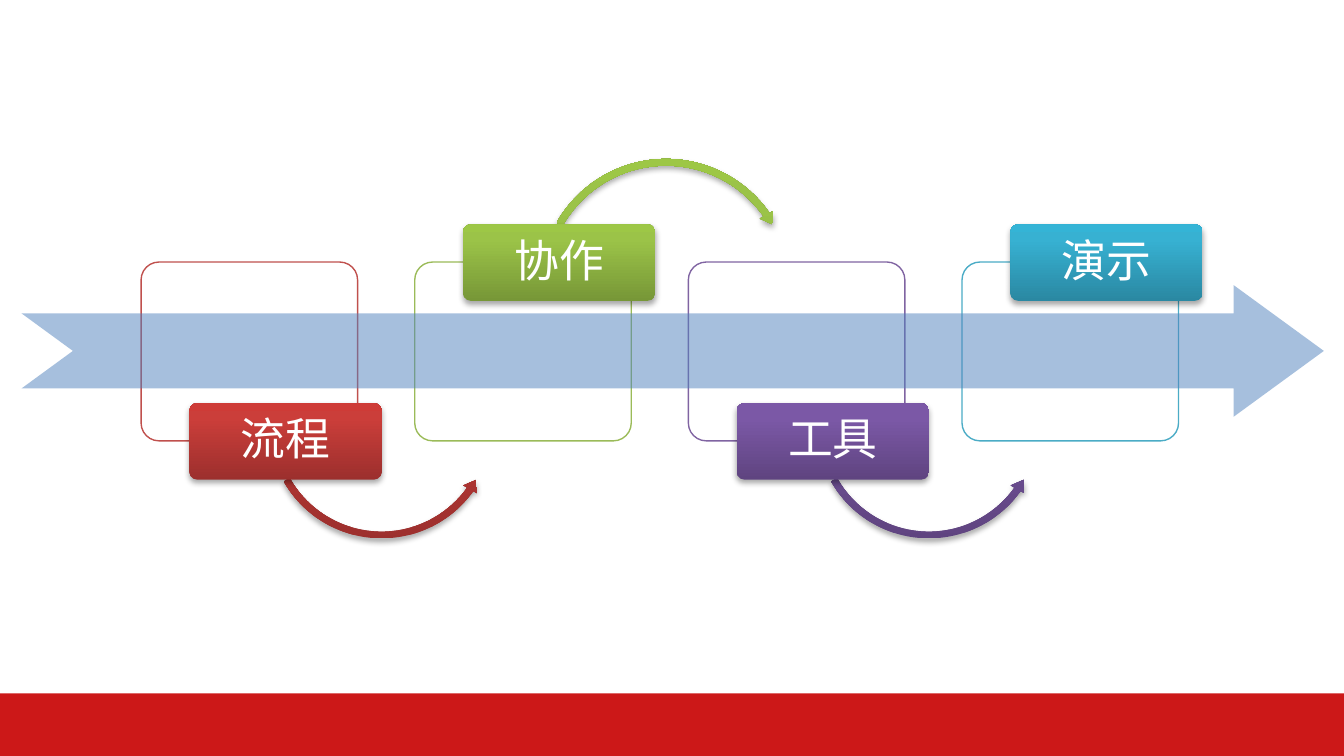
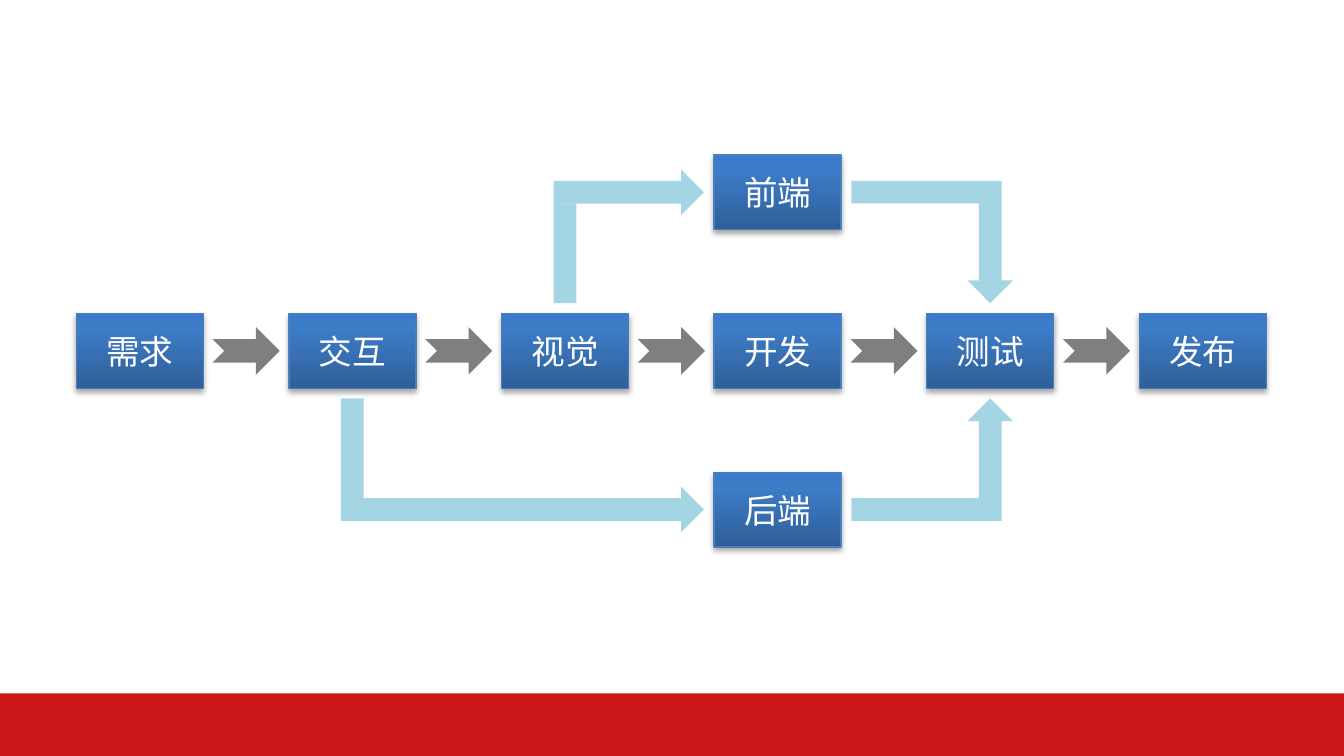
from copy import deepcopy

from lxml.etree import SubElement
from pptx import Presentation
from pptx.dml.color import RGBColor
from pptx.enum.shapes import MSO_SHAPE as Preset
from pptx.enum.text import MSO_ANCHOR as Anchor, PP_ALIGN as Align
from pptx.oxml.ns import qn
from pptx.util import Pt

SLIDE_WIDTH, SLIDE_HEIGHT = 720, 405
BAND_TOP = 371.5
FONT = "Noto Sans CJK SC"
COLOURS = {
    "white": "FFFFFF", "black": "000000", "band": "CC1818",
    "arrow": "4F81BD", "branch": "4BACC6", "box line": "4B7EBC",
    "red": "C0504D", "green": "9BBB59", "purple": "8064A2", "teal": "4BACC6",
}
GRADIENTS = {
    "red": ("9C2F2D", "CB3E3A", "CE3B37"),
    "green": ("779737", "9BC348", "9DC746"),
    "purple": ("5F4480", "7B58A6", "7C57A8"),
    "teal": ("2A88A2", "37B1D2", "34B4D6"),
    "blue": ("2F5F99", "3D7CC7", "3A7CCB"),
}
LOWER_ARC = (0.029, 3.57, 21.325, 90.245, 0.034)
UPPER_ARC = (0.026, 3.168, 195.077, 125.755, 0.03)


def rgb(name):
    return RGBColor.from_string(COLOURS[name])


def fill_gradient(shape, name):
    """Fill from bottom to top with the three stops of a named gradient."""
    shape.fill.gradient()
    shape.fill.gradient_angle = 90
    stop_list = shape.element.spPr.find(".//" + qn("a:gsLst"))
    stop_list.append(deepcopy(stop_list[-1]))
    for stop, colour, position in zip(shape.fill.gradient_stops, GRADIENTS[name], (0, 0.8, 1)):
        stop.color.rgb = RGBColor.from_string(colour)
        stop.position = position


def fill_solid(shape, name, opacity):
    shape.fill.solid()
    shape.fill.fore_color.rgb = rgb(name)
    if opacity < 100:
        colour = shape.element.spPr.find(qn("a:solidFill"))[0]
        SubElement(colour, qn("a:alpha"), val=str(opacity * 1000))


def add_shadow(shape):
    effects = shape.element.spPr.find(qn("a:effectLst"))
    shadow = SubElement(effects, qn("a:outerShdw"), blurRad="40000", dist="23000",
                        dir="5400000", rotWithShape="0")
    colour = SubElement(shadow, qn("a:srgbClr"), val=COLOURS["black"])
    SubElement(colour, qn("a:alpha"), val="35000")


def add_preset(slide, preset, box, fill=None, opacity=100, gradient=None, line=None,
               adjustments=()):
    """Add a preset shape; shapes with a gradient also cast a shadow."""
    shape = slide.shapes.add_shape(preset, *(Pt(length) for length in box))
    shape.shadow.inherit = False
    for index, value in enumerate(adjustments):
        shape.adjustments[index] = value
    if gradient:
        fill_gradient(shape, gradient)
        add_shadow(shape)
    else:
        fill_solid(shape, fill, opacity)
    if line:
        shape.line.color.rgb = rgb(line)
        shape.line.width = Pt(0.75)
    else:
        shape.line.fill.background()
    return shape


def write_text(shape, text, size, colour="white", line_spacing=1.0):
    frame = shape.text_frame
    frame.word_wrap = True
    frame.vertical_anchor = Anchor.MIDDLE
    frame.margin_left = frame.margin_right = frame.margin_top = frame.margin_bottom = Pt(3)
    paragraph = frame.paragraphs[0]
    paragraph.alignment = Align.CENTER
    paragraph.line_spacing = line_spacing
    run = paragraph.add_run()
    run.text = text
    run.font.size = Pt(size)
    run.font.name = FONT
    run.font.color.rgb = rgb(colour)
    SubElement(run.font._element, qn("a:ea"), typeface=FONT)


def add_master_band(presentation, slide):
    """Draw the footer band and move it to the master, which all slides share."""
    band = add_preset(slide, Preset.RECTANGLE,
                      (0, BAND_TOP, SLIDE_WIDTH, SLIDE_HEIGHT - BAND_TOP), fill="band")
    presentation.slide_master.element.cSld.spTree.append(band.element)


def add_step(slide, left, top, text, colour, is_lower, has_arc):
    """Add an outlined panel with its label and the arc to the next step."""
    add_preset(slide, Preset.ROUNDED_RECTANGLE, (left, top, 116, 95.8),
               fill="white", opacity=90, line=colour, adjustments=[0.1])
    if has_arc and is_lower:
        add_preset(slide, Preset.LEFT_CIRCULAR_ARROW, (left + 66.2, top + 25.2, 125.3, 125.3),
                   gradient=colour, adjustments=LOWER_ARC)
    elif has_arc:
        add_preset(slide, Preset.CIRCULAR_ARROW, (left + 64.8, top - 57.6, 139.7, 139.7),
                   gradient=colour, adjustments=UPPER_ARC)
    label_top = top + (75.6 if is_lower else -20.2)
    label = add_preset(slide, Preset.ROUNDED_RECTANGLE, (left + 25.9, label_top, 103, 41),
                       gradient=colour, adjustments=[0.1])
    write_text(label, text, size=24, line_spacing=0.9)


def build_steps(slide, left, top, pitch):
    steps = [("流程", "red"), ("协作", "green"), ("工具", "purple"), ("演示", "teal")]
    for index, (text, colour) in enumerate(steps):
        add_step(slide, left + index * pitch, top, text, colour,
                 is_lower=index % 2 == 0, has_arc=index < len(steps) - 1)
    add_preset(slide, Preset.NOTCHED_RIGHT_ARROW, (left - 64.1, top + 12.3, 697.7, 70.6),
               fill="arrow", opacity=50, adjustments=[0.57, 0.685])


def build_workflow(slide, left, middle, pitch):
    """Add a row of boxes with one branch above it and one below."""
    width, height, rise = 68, 40, 85
    thickness, head, clearance, gap = 12.2, 24.4, 25.5, 5.5
    branch_column, merge_column = 3, 4

    def add_box(text, column, centre):
        box = add_preset(slide, Preset.RECTANGLE,
                         (left + column * pitch, centre - height / 2, width, height),
                         gradient="blue", line="box line")
        write_text(box, text, size=18)

    def add_part(preset, part_left, part_top, part_width, part_height):
        add_preset(slide, preset, (part_left, part_top, part_width, part_height),
                   fill="branch", opacity=50)

    def column_centre(column):
        return left + column * pitch + width / 2

    def add_branch(text, source_column, side):
        """Leave the row at source_column; side is -1 above it and 1 below it."""
        centre = middle + side * rise
        branch_left = left + branch_column * pitch
        add_box(text, branch_column, centre)

        leg_left = column_centre(source_column) - thickness / 2
        leg_length = rise - clearance - thickness / 2
        leg_top = middle + clearance if side > 0 else middle - clearance - leg_length
        add_part(Preset.RECTANGLE, leg_left, leg_top, thickness, leg_length)
        add_part(Preset.RIGHT_ARROW, leg_left, centre - head / 2,
                 branch_left - gap - leg_left, head)

        bar_left = branch_left + width + gap
        merge = column_centre(merge_column)
        add_part(Preset.RECTANGLE, bar_left, centre - thickness / 2,
                 merge - thickness / 2 - bar_left, thickness)
        length = rise + thickness / 2 - clearance
        arrow_top = middle + clearance if side > 0 else middle - clearance - length
        add_part(Preset.UP_ARROW if side > 0 else Preset.DOWN_ARROW,
                 merge - head / 2, arrow_top, head, length)

    stages = ["需求", "交互", "视觉", "开发", "测试", "发布"]
    for column, text in enumerate(stages):
        add_box(text, column, middle)
    arrow_width, arrow_height = 36, 25.4
    arrow_offset = (width + pitch - arrow_width) / 2
    for column in range(len(stages) - 1):
        add_preset(slide, Preset.NOTCHED_RIGHT_ARROW,
                   (left + column * pitch + arrow_offset, middle - arrow_height / 2,
                    arrow_width, arrow_height), fill="black", opacity=50)
    add_branch("前端", source_column=2, side=-1)
    add_branch("后端", source_column=1, side=1)


def main():
    presentation = Presentation()
    presentation.slide_width = Pt(SLIDE_WIDTH)
    presentation.slide_height = Pt(SLIDE_HEIGHT)
    blank = presentation.slide_layouts[6]
    steps_slide = presentation.slides.add_slide(blank)
    add_master_band(presentation, steps_slide)
    build_steps(steps_slide, left=75.6, top=140.4, pitch=146.6)
    build_workflow(presentation.slides.add_slide(blank), left=40.9, middle=188, pitch=113.9)
    presentation.save("out.pptx")


if __name__ == "__main__":
    main()
